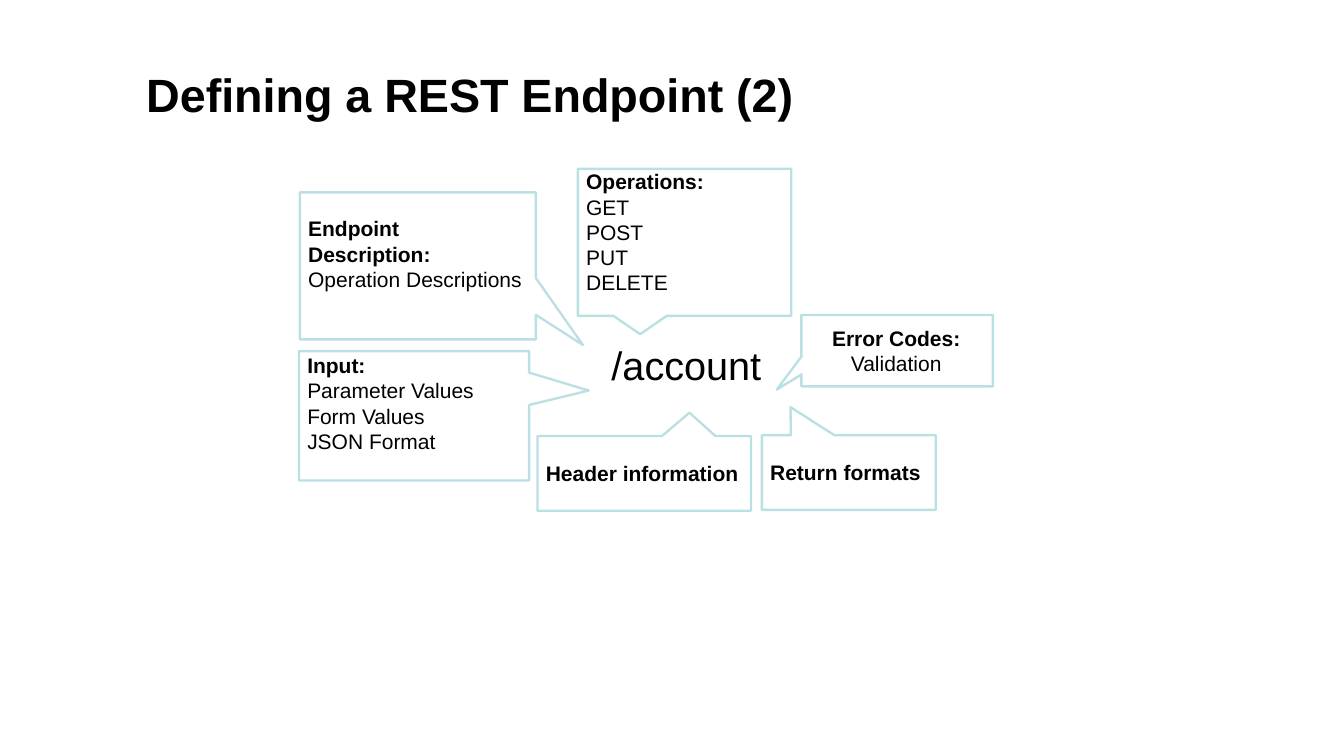
from pptx import Presentation
from pptx.dml.color import RGBColor
from pptx.enum.shapes import MSO_SHAPE
from pptx.enum.text import MSO_ANCHOR, PP_ALIGN
from pptx.util import Inches, Pt

FONT = "Arial"
COLORS = {"text": "000000", "fill": "FFFFFF", "line": "BBE0E3"}
LEFT, CENTER = PP_ALIGN.LEFT, PP_ALIGN.CENTER

# box, pointer tip, top inset (None centres the text), alignment, heading, lines
CALLOUTS = [
    ((6.88, 2.01, 2.54, 1.75), (-0.208, 0.625), 0, LEFT,
     "Operations:", ["GET", "POST", "PUT", "DELETE"]),
    ((3.56, 4.18, 2.74, 1.54), (0.759, -0.195), 0.02, LEFT,
     "Input:", ["Parameter Values", "Form Values", "JSON Format"]),
    ((6.4, 5.19, 2.54, 0.89), (0.212, -0.812), None, LEFT,
     "Header information", []),
    ((3.57, 2.29, 2.81, 1.75), (0.699, 0.538), 0.28, LEFT,
     "Endpoint Description:", ["Operation Descriptions"]),
    ((9.07, 5.18, 2.07, 0.89), (-0.335, -0.874), None, LEFT,
     "Return formats", []),
    ((9.54, 3.75, 2.28, 0.85), (-0.629, 0.546), None, CENTER,
     "Error Codes:", ["Validation"]),
]


def color(name):
    return RGBColor.from_string(COLORS[name])


def add_run(p, text, size, bold=False):
    r = p.add_run()
    r.text = text
    r.font.name = FONT
    r.font.size = Pt(size)
    r.font.bold = bold
    r.font.color.rgb = color("text")


def set_frame(tf, anchor, left, top, right, bottom):
    tf.word_wrap = True
    tf.vertical_anchor = anchor
    tf.margin_left, tf.margin_top = Inches(left), Inches(top)
    tf.margin_right, tf.margin_bottom = Inches(right), Inches(bottom)


def set_title(slide, box, text):
    title = slide.shapes.title
    title.left, title.top, title.width, title.height = map(Inches, box)
    tf = title.text_frame
    set_frame(tf, MSO_ANCHOR.BOTTOM, 0.14, 0.07, 0.14, 0.07)
    p = tf.paragraphs[0]
    p.alignment = LEFT
    add_run(p, text, 40, bold=True)


def add_endpoint(slide, box, text):
    tf = slide.shapes.add_textbox(*map(Inches, box)).text_frame
    set_frame(tf, MSO_ANCHOR.MIDDLE, 0, 0, 0, 0)
    add_run(tf.paragraphs[0], text, 34)


def add_callout(slide, box, tip, top, align, heading, lines):
    sp = slide.shapes.add_shape(MSO_SHAPE.RECTANGULAR_CALLOUT, *map(Inches, box))
    sp.adjustments[0], sp.adjustments[1] = tip
    sp.shadow.inherit = False
    sp.fill.solid()
    sp.fill.fore_color.rgb = color("fill")
    sp.line.color.rgb = color("line")
    sp.line.width = Pt(2)

    tf = sp.text_frame
    if top is None:
        set_frame(tf, MSO_ANCHOR.MIDDLE, 0.1, 0.05, 0.12, 0.05)
    else:
        set_frame(tf, MSO_ANCHOR.TOP, 0.1, top, 0.12, 0.05)
    for i, text in enumerate([heading, *lines]):
        p = tf.add_paragraph() if i else tf.paragraphs[0]
        p.alignment = align
        p.line_spacing = Pt(21.6)
        add_run(p, text, 18, bold=i == 0)


def main():
    prs = Presentation()
    prs.slide_width, prs.slide_height = Inches(16), Inches(9)
    slide = prs.slides.add_slide(prs.slide_layouts[5])
    set_title(slide, (1.6, 0.24, 14.4, 1.28), "Defining a REST Endpoint (2)")
    add_endpoint(slide, (7.28, 4.0, 2, 0.68), "/account")
    for callout in CALLOUTS:
        add_callout(slide, *callout)
    prs.save("out.pptx")


if __name__ == "__main__":
    main()
